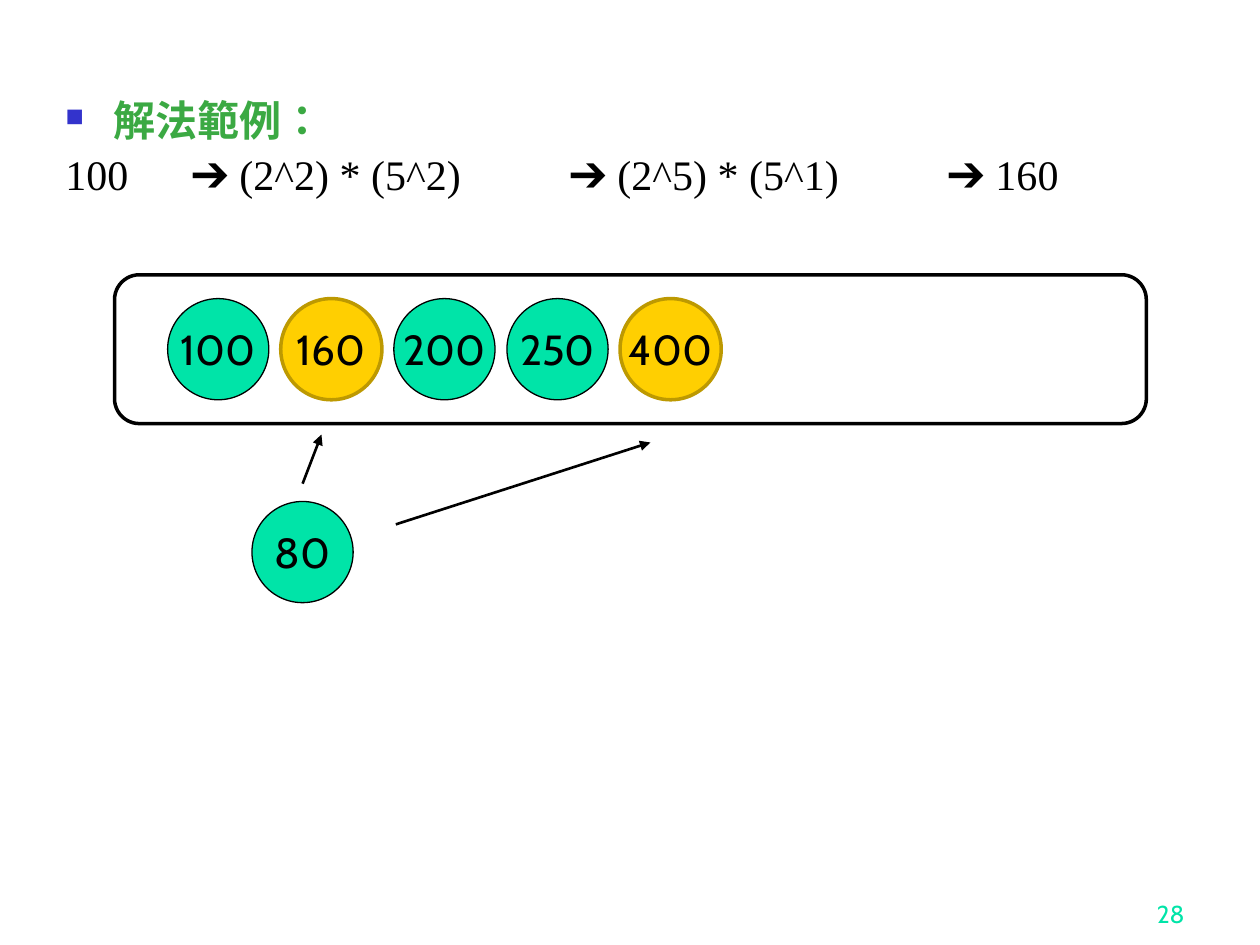
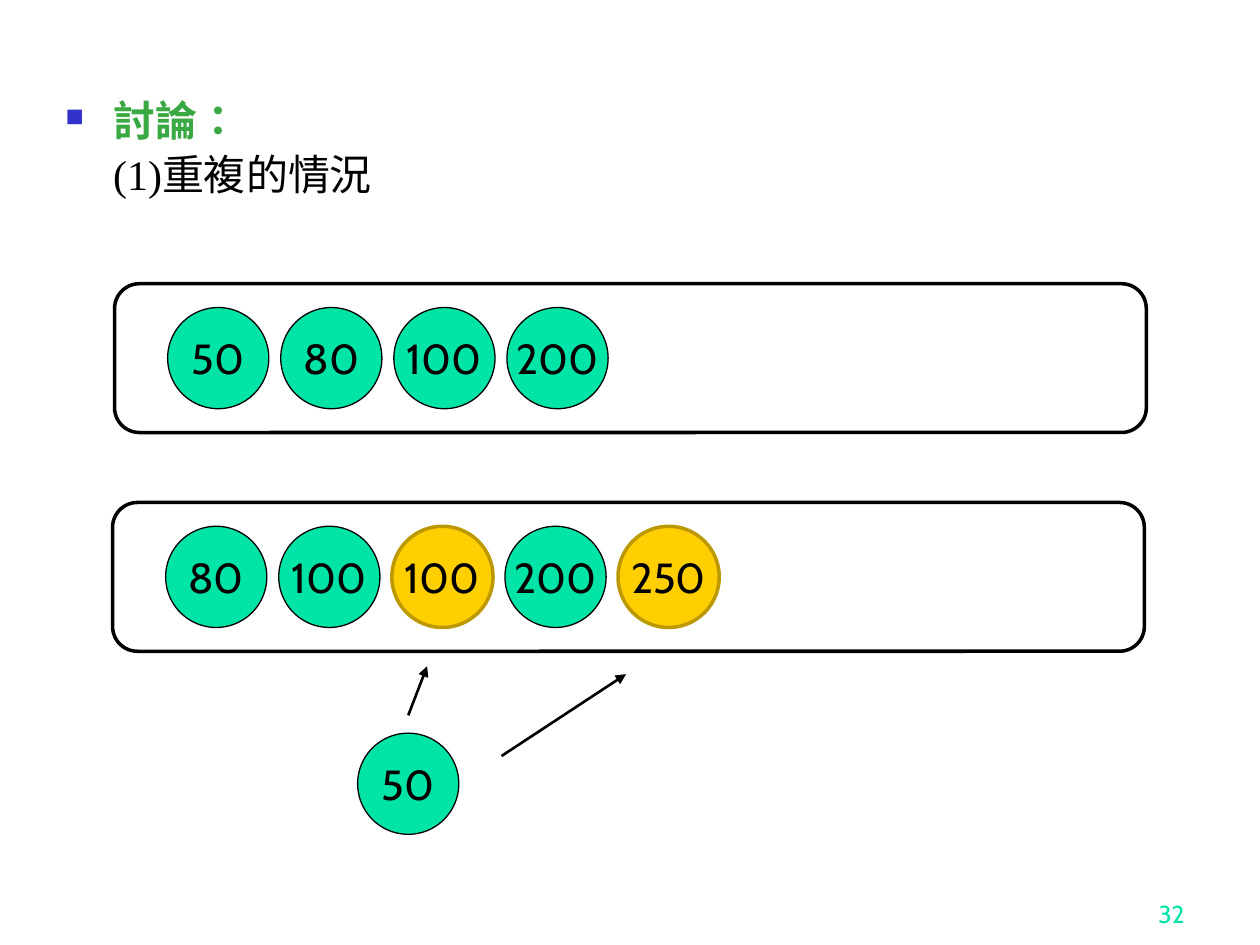
"""Build two slides that trace numbers through a sorted queue."""
from lxml import etree
from pptx import Presentation
from pptx.dml.color import RGBColor
from pptx.enum.shapes import MSO_CONNECTOR, MSO_SHAPE
from pptx.enum.text import MSO_ANCHOR, PP_ALIGN
from pptx.oxml.ns import qn
from pptx.util import Cm, Pt

OVAL = MSO_SHAPE.OVAL
ROUND = MSO_SHAPE.ROUNDED_RECTANGLE
LINE = MSO_CONNECTOR.STRAIGHT
CENTER, RIGHT = PP_ALIGN.CENTER, PP_ALIGN.RIGHT
MIDDLE, BOTTOM = MSO_ANCHOR.MIDDLE, MSO_ANCHOR.BOTTOM

HUES = {
    "black": "000000",
    "white": "FFFFFF",
    "mint": "00E4A8",
    "gold": "FFCF01",
    "rim": "BD9901",
    "head": "3BA943",
    "bullet": "3333CC",
}
SANS, SERIF = "Cabin", "Times New Roman"
SIZE, STEP, INDENT = 2.04, 2.28, 0.96


def hue(name):
    return RGBColor.from_string(HUES[name])


def add(parent, tag, **attrs):
    return etree.SubElement(parent, qn(tag), attrs)


class Deck:
    def __init__(self):
        self.file = Presentation()
        self.file.slide_width, self.file.slide_height = Cm(25.4), Cm(19.05)
        self.slide = None

    def page(self, number):
        self.slide = self.file.slides.add_slide(self.file.slide_layouts[6])
        frame = self.box(18.85, 17.58, 5.28, 1.27)
        frame.vertical_anchor = BOTTOM
        frame.text = number
        para = frame.paragraphs[0]
        para.alignment = RIGHT
        self.style(para, SANS, 14, "mint")

    def box(self, x, y, w, h):
        frame = self.slide.shapes.add_textbox(Cm(x), Cm(y), Cm(w), Cm(h)).text_frame
        frame.word_wrap = True
        return frame

    def style(self, para, face, size, color, bold=False):
        for run in para.runs:
            font = run.font
            font.name, font.size, font.bold = face, Pt(size), bold
            font.color.rgb = hue(color)
            run._r.get_or_add_rPr().set("lang", "zh-TW")

    def body(self, title, text, indent=0, tabs=()):
        frame = self.box(1.07, 1.9, 24.05, 15.62)
        head = frame.paragraphs[0]
        head.text = title
        props = head._p.get_or_add_pPr()
        props.set("marL", str(Cm(INDENT)))
        props.set("indent", str(-Cm(INDENT)))
        add(add(props, "a:buClr"), "a:srgbClr", val=HUES["bullet"])
        add(props, "a:buSzPct", val="60000")
        add(props, "a:buChar", char="■")
        self.style(head, SERIF, 24, "head", True)

        line = frame.add_paragraph()
        line.text = text
        props = line._p.get_or_add_pPr()
        props.set("marL", str(Cm(indent)))
        if tabs:
            stops = add(props, "a:tabLst")
            for stop in tabs:
                add(stops, "a:tab", pos=str(Cm(stop)), algn="l")
        line.space_before = Pt(5)
        self.style(line, SERIF, 24, "black")
        for para in frame.paragraphs:
            para.line_spacing = 0.9

    def shape(self, kind, x, y, w, h, fill, edge, width):
        shape = self.slide.shapes.add_shape(kind, Cm(x), Cm(y), Cm(w), Cm(h))
        shape.shadow.inherit = False
        shape.fill.solid()
        shape.fill.fore_color.rgb = hue(fill)
        shape.line.color.rgb = hue(edge)
        shape.line.width = Pt(width)
        return shape

    def ball(self, text, x, y, fresh=False):
        look = ("gold", "rim", 2) if fresh else ("mint", "black", 0.75)
        frame = self.shape(OVAL, x, y, SIZE, SIZE, *look).text_frame
        frame.word_wrap = False
        frame.vertical_anchor = MIDDLE
        frame.text = text
        para = frame.paragraphs[0]
        para.alignment = CENTER
        self.style(para, SANS, 24, "black")

    def queue(self, x, y, items, fresh=()):
        self.shape(ROUND, x, y, 20.8, 3, "white", "black", 2)
        for i, item in enumerate(items):
            self.ball(item, x + 1.07 + i * STEP, y + 0.48, i in fresh)

    def arrow(self, x1, y1, x2, y2):
        line = self.slide.shapes.add_connector(LINE, Cm(x1), Cm(y1), Cm(x2), Cm(y2))
        line.line.color.rgb = hue("black")
        line.line.width = Pt(1.5)
        add(line.line._get_or_add_ln(), "a:tailEnd", type="triangle")
        add(line._element.spPr, "a:effectLst")

    def source(self, text, x, y, reach):
        self.ball(text, x, y)
        self.arrow(x + 1.02, y - 0.36, x + 1.4, y - 1.35)
        self.arrow(x + 2.9, y + 0.46, x + reach, y - 1.19)


def main():
    deck = Deck()

    deck.page("28")
    deck.body("解法範例：", "100\t➔ (2^2) * (5^2) \t➔ (2^5) * (5^1) \t➔ 160",
              tabs=(2.54, 10.16, 17.78))
    deck.queue(2.31, 5.54, ("100", "160", "200", "250", "400"), (1, 4))
    deck.source("80", 5.08, 10.11, 8.03)

    deck.page("32")
    deck.body("討論：", "(1)重複的情況", indent=INDENT)
    deck.queue(2.31, 5.72, ("50", "80", "100", "200"))
    deck.queue(2.27, 10.13, ("80", "100", "100", "200", "250"), (2, 4))
    deck.source("50", 7.21, 14.78, 5.41)

    deck.file.save("out.pptx")


if __name__ == "__main__":
    main()
